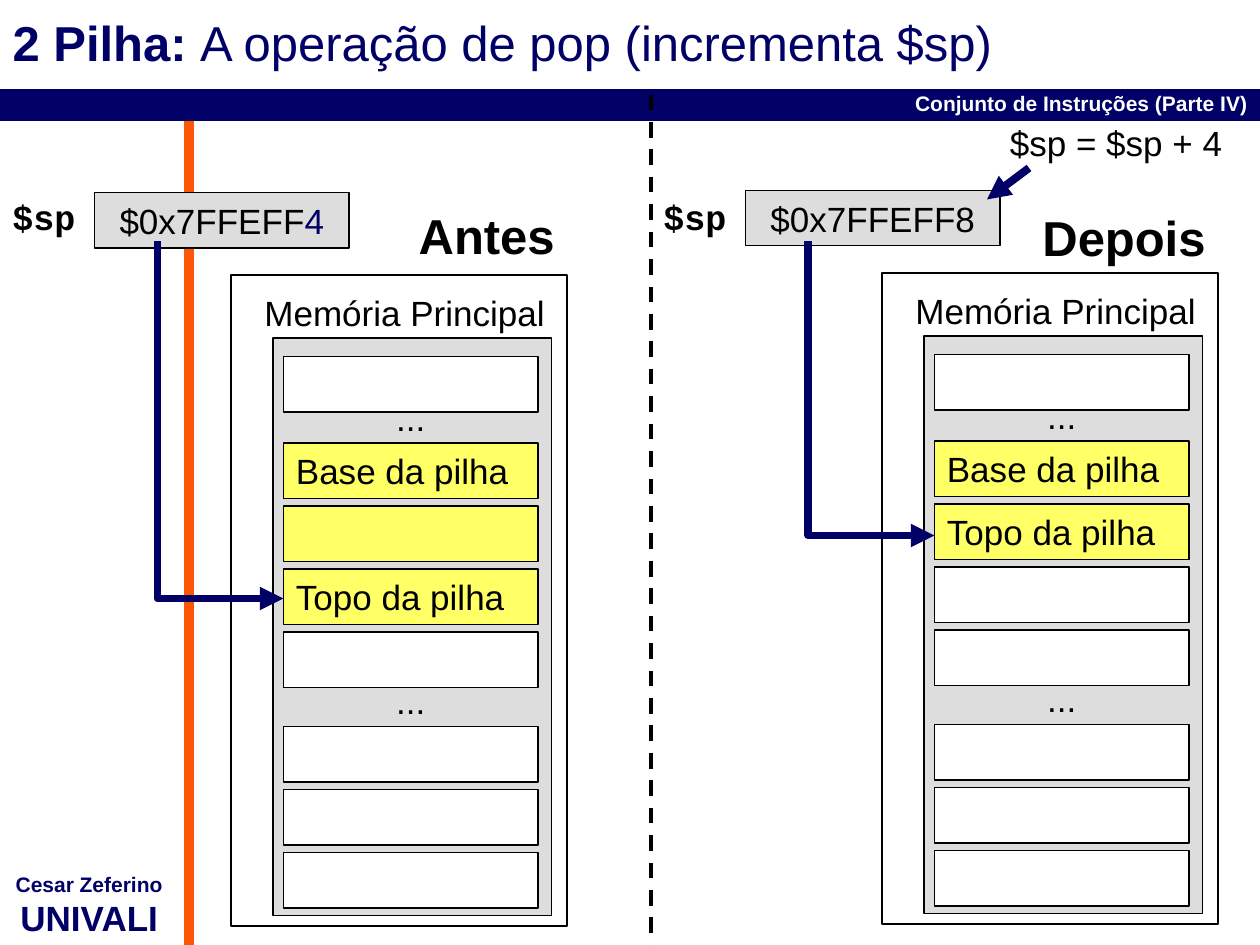
from dataclasses import dataclass

from lxml import etree
from pptx import Presentation
from pptx.dml.color import RGBColor
from pptx.enum.dml import MSO_LINE
from pptx.enum.shapes import MSO_CONNECTOR, MSO_SHAPE
from pptx.enum.text import MSO_ANCHOR, MSO_AUTO_SIZE, PP_ALIGN
from pptx.oxml.ns import qn
from pptx.util import Emu, Inches, Pt

LEFT, CENTER, RIGHT = PP_ALIGN.LEFT, PP_ALIGN.CENTER, PP_ALIGN.RIGHT
TOP, MIDDLE = MSO_ANCHOR.TOP, MSO_ANCHOR.MIDDLE
RECTANGLE, STRAIGHT, DASH = MSO_SHAPE.RECTANGLE, MSO_CONNECTOR.STRAIGHT, MSO_LINE.DASH
FIT_SHAPE, NO_FIT = MSO_AUTO_SIZE.SHAPE_TO_FIT_TEXT, MSO_AUTO_SIZE.NONE
COLUMNS, ROWS = 120, 90
CELL_WIDTH, CELL_HEIGHT = 24.25, 5.3


@dataclass(frozen=True)
class Theme:
    """Colours, fonts and type sizes of the slide."""
    navy: str = "000066"
    orange: str = "FB5705"
    black: str = "000000"
    white: str = "FFFFFF"
    gray: str = "DDDDDD"
    yellow: str = "FFFF66"
    font: str = "Arial"
    code_font: str = "Courier New"
    small: int = 12
    body: int = 20
    heading: int = 28


class StackSlide:
    """Draws elements on a grid of 120 columns by 90 rows."""

    def __init__(self, deck, theme):
        """Adds a title-only page to the deck."""
        self.theme = theme
        self.page = deck.slides.add_slide(deck.slide_layouts[5])
        self.column = deck.slide_width / COLUMNS
        self.row = deck.slide_height / ROWS

    def place(self, *lengths):
        """Turns alternating columns and rows into lengths."""
        units = (self.column, self.row) * 2
        return [Emu(round(length * unit)) for length, unit in zip(lengths, units)]

    def fill_text(self, frame, paragraphs, align=LEFT, anchor=TOP, color=None, font=None):
        """Fills a frame from (size, bold, spans) rows, a span being (text, changes)."""
        frame.word_wrap = True
        frame.vertical_anchor = anchor
        for index, (size, bold, spans) in enumerate(paragraphs):
            para = frame.add_paragraph() if index else frame.paragraphs[0]
            para.alignment = align
            para.font.size = Pt(size)
            para.font.bold = bold
            para.font.name = font or self.theme.font
            para.font.color.rgb = RGBColor.from_string(color or self.theme.black)
            for text, changes in spans:
                span = para.add_run()
                span.text = text
                if "bold" in changes:
                    span.font.bold = changes["bold"]
                if "color" in changes:
                    span.font.color.rgb = RGBColor.from_string(changes["color"])

    def title(self, area, spans):
        """Moves and fills the title placeholder."""
        box = self.page.shapes.title
        box.left, box.top, box.width, box.height = self.place(*area)
        self.fill_text(box.text_frame, [(self.theme.heading, True, spans)],
                       anchor=MIDDLE, color=self.theme.navy)
        box.text_frame.auto_size = NO_FIT

    def text(self, area, paragraphs, inset=0.1, **style):
        """Adds a text box."""
        frame = self.page.shapes.add_textbox(*self.place(*area)).text_frame
        frame.margin_left = frame.margin_right = Inches(inset)
        self.fill_text(frame, paragraphs, **style)
        frame.auto_size = FIT_SHAPE

    def label(self, area, text, size=None, bold=False, **style):
        """Adds a text box with a single line."""
        self.text(area, [(size or self.theme.body, bold, [(text, {})])], **style)

    def box(self, area, fill, spans=(), align=LEFT):
        """Adds an outlined rectangle, with text if spans are given."""
        box = self.page.shapes.add_shape(RECTANGLE, *self.place(*area))
        box.shadow.inherit = False
        box.fill.solid()
        box.fill.fore_color.rgb = RGBColor.from_string(fill)
        self.stroke(box, self.theme.black, 0.75)
        if spans:
            self.fill_text(box.text_frame, [(self.theme.body, False, spans)], align, MIDDLE)

    def stroke(self, shape, color, width, arrow=False):
        """Sets an outline and an optional arrowhead at its end."""
        shape.line.color.rgb = RGBColor.from_string(color)
        shape.line.width = Pt(width)
        if arrow:
            outline = shape.element.spPr.find(qn("a:ln"))
            etree.SubElement(outline, qn("a:tailEnd"), type="triangle")

    def line(self, ends, color, width, dash=None, arrow=False):
        """Adds a straight line."""
        line = self.page.shapes.add_connector(STRAIGHT, *self.place(*ends))
        self.stroke(line, color, width, arrow)
        if dash:
            line.line.dash_style = dash
        etree.SubElement(line.element.spPr, qn("a:effectLst"))

    def pointer(self, points):
        """Adds a bent arrow through the given points."""
        start, *rest = [self.place(*point) for point in points]
        builder = self.page.shapes.build_freeform(*start)
        builder.add_line_segments(rest, close=False)
        arrow = builder.convert_to_shape()
        arrow.shadow.inherit = False
        arrow.fill.background()
        self.stroke(arrow, self.theme.navy, 4.5, arrow=True)

    def panel(self, left, shift, heading, heading_top, address, target, cells):
        """Draws the register and the memory at one moment of the operation."""
        theme = self.theme
        self.box((left + 22, 26 + shift, 32, 62), theme.white)
        self.box((left + 26, 32 + shift, 26.5, 55), theme.gray)
        self.label((left + 24, 27 + shift, 31, CELL_HEIGHT), "Memória Principal")
        for top, fill, text in cells:
            self.box((left + 27, top + shift, CELL_WIDTH, CELL_HEIGHT), fill,
                     [(text, {})] if text else ())
        for top in (37, 63.9):
            self.label((left + 27, top + shift, CELL_WIDTH, CELL_HEIGHT), "...", align=CENTER)
        self.box((left + 9, 18.12 + shift, CELL_WIDTH, CELL_HEIGHT), theme.gray,
                 address, CENTER)
        self.label((left, 18, 14, CELL_HEIGHT), "$sp", bold=True, font=theme.code_font)
        self.pointer([(left + 15, 23), (left + 15, target), (left + 27, target)])
        self.label((left + 36, heading_top, 18, 6.84), heading, theme.heading, True,
                   align=RIGHT)


def stack_cells(theme, stack):
    """Lists top, fill and text of each memory cell, the stack starting at the second."""
    tops = [33.75, *range(42, 61, 6), *range(69, 82, 6)]
    used = {1 + index: text for index, text in enumerate(stack)}
    return [(top, theme.yellow if index in used else theme.white, used.get(index, ""))
            for index, top in enumerate(tops)]


def main():
    """Builds and saves the deck."""
    theme = Theme()
    deck = Presentation()
    deck.slide_width, deck.slide_height = Inches(10), Inches(7.5)
    slide = StackSlide(deck, theme)

    slide.line((18, 11, 18, ROWS), theme.orange, 6)
    slide.line((0, 10, COLUMNS, 10), theme.navy, 18)
    slide.label((0, 8, COLUMNS, 3), "Conjunto de Instruções (Parte IV)", theme.small, True,
                align=RIGHT, color=theme.white)
    slide.text((0, 82.4, 17, 7.6),
               [(theme.small, True, [("Cesar Zeferino", {})]),
                (theme.body, True, [("UNIVALI", {})])],
               inset=0, align=CENTER, color=theme.navy)
    slide.title((0, 0, COLUMNS, 8),
                [("2 Pilha: ", {}), ("A operação de pop (incrementa $sp)", {"bold": False})])

    slide.panel(62, 0, "Depois", 19.2, [("$0x7FFEFF8", {})], 51,
                stack_cells(theme, ["Base da pilha", "Topo da pilha"]))
    slide.line((62, 9, 62, ROWS), theme.black, 2.25, dash=DASH)
    slide.panel(0, 0.2, "Antes", 19, [("$0x7FFEFF", {}), ("4", {"color": theme.navy})], 57,
                stack_cells(theme, ["Base da pilha", "", "Topo da pilha"]))
    slide.label((95, 11, 24, CELL_HEIGHT), "$sp = $sp + 4")
    slide.line((98, 16, 94, 19), theme.navy, 4.5, arrow=True)
    deck.save("out.pptx")


if __name__ == "__main__":
    main()
